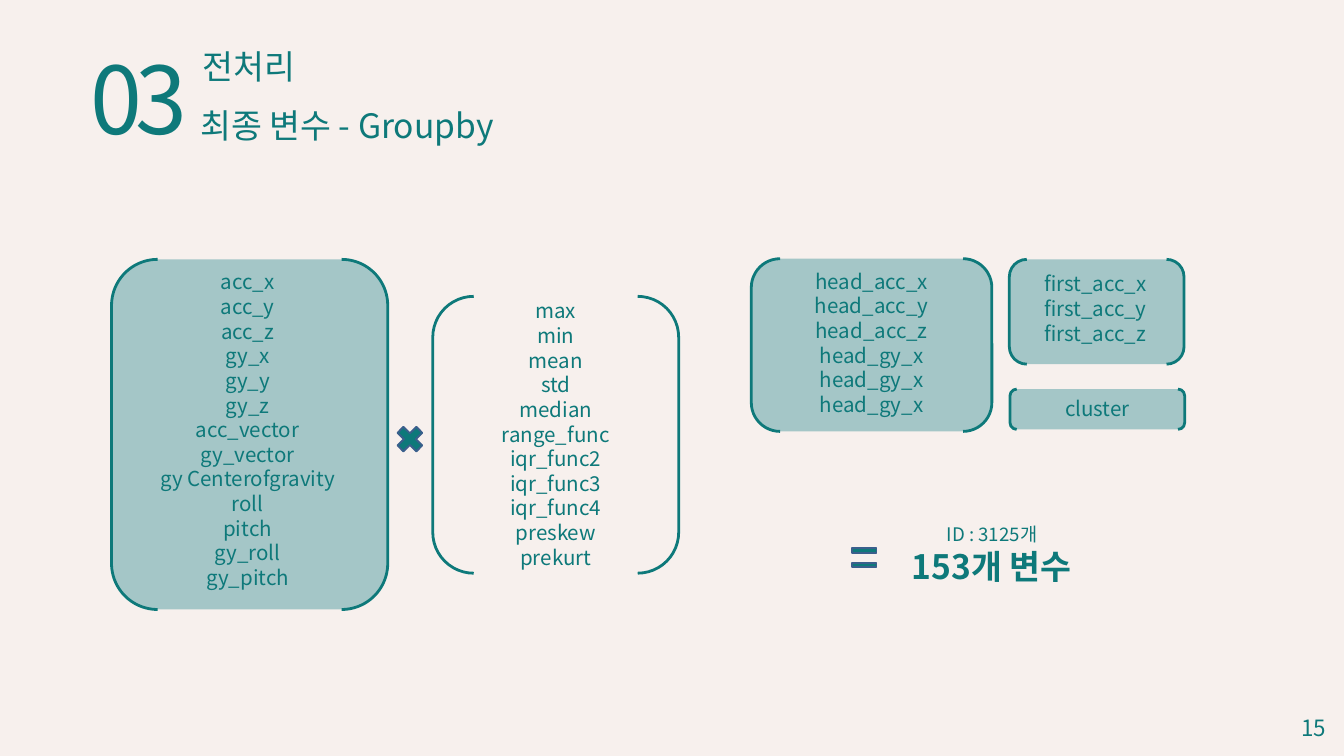
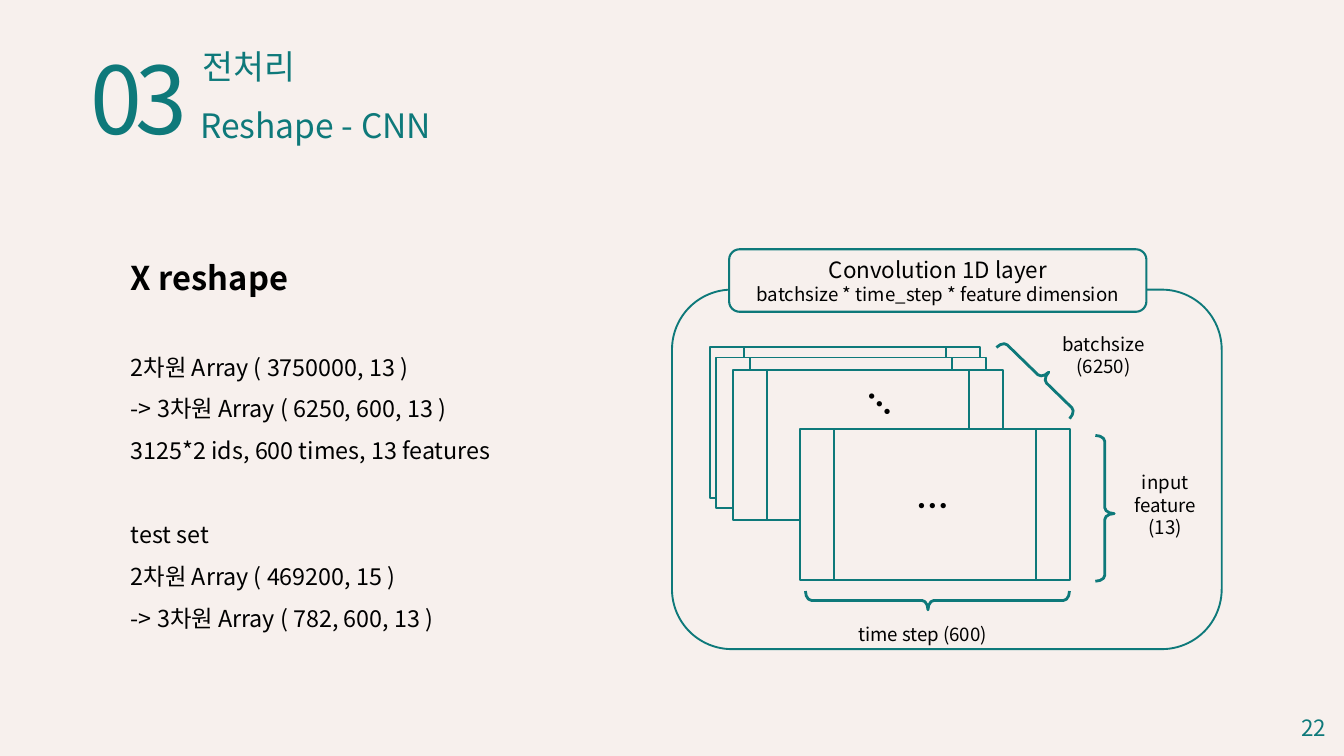
from lxml import etree
from pptx import Presentation
from pptx.dml.color import RGBColor
from pptx.enum.shapes import MSO_SHAPE
from pptx.enum.text import MSO_ANCHOR, MSO_AUTO_SIZE, PP_ALIGN
from pptx.oxml.ns import qn
from pptx.util import Inches, Pt

LEFT, CENTER, RIGHT = PP_ALIGN.LEFT, PP_ALIGN.CENTER, PP_ALIGN.RIGHT
TOP, MIDDLE = MSO_ANCHOR.TOP, MSO_ANCHOR.MIDDLE
BRACKETS = MSO_SHAPE.DOUBLE_BRACKET
BRACE = MSO_SHAPE.RIGHT_BRACE
FRAME = MSO_SHAPE.FLOWCHART_PREDEFINED_PROCESS
ROUNDED = MSO_SHAPE.ROUNDED_RECTANGLE
TIMES, EQUALS = MSO_SHAPE.MATH_MULTIPLY, MSO_SHAPE.MATH_EQUAL

FONT = "Noto Sans CJK KR"
COLORS = {"paper": "F7F0ED", "teal": "0E797A", "pale": "A4C6C7",
          "edge": "3A5F8C", "ink": "000000"}


def rgb(name):
    return RGBColor.from_string(COLORS[name])


def write(tf, lines, size=20, color="ink", bold=False, align=LEFT,
          anchor=TOP, spacing=None, track=None):
    """Write lines; a line is a string or (string, dict of own format)."""
    tf.word_wrap = True
    tf.auto_size = MSO_AUTO_SIZE.NONE
    tf.vertical_anchor = anchor
    for i, line in enumerate(lines):
        text, own = (line, {}) if isinstance(line, str) else line
        p = tf.paragraphs[0] if i == 0 else tf.add_paragraph()
        p.alignment = align
        if spacing:
            p.line_spacing = spacing
        if "before" in own:
            p.space_before = Pt(own["before"])
        r = p.add_run()
        r.text = text
        r.font.name = FONT
        r.font.size = Pt(own.get("size", size))
        r.font.bold = own.get("bold", bold)
        r.font.color.rgb = rgb(color)
        rPr = r.font._element
        etree.SubElement(rPr, qn("a:ea")).set("typeface", FONT)
        if track:
            rPr.set("spc", str(track * 100))


def add_text(s, x, y, w, h, lines, rotation=0, **fmt):
    sp = s.shapes.add_textbox(Inches(x), Inches(y), Inches(w), Inches(h))
    sp.rotation = rotation
    write(sp.text_frame, lines, **fmt)
    return sp


def add_shape(s, kind, x, y, w, h, fill=None, line="teal", weight=2,
              adjust=(), rotation=0):
    sp = s.shapes.add_shape(kind, Inches(x), Inches(y), Inches(w), Inches(h))
    sp.shadow.inherit = False
    sp.rotation = rotation
    for i, value in enumerate(adjust):
        sp.adjustments[i] = value
    if fill:
        sp.fill.solid()
        sp.fill.fore_color.rgb = rgb(fill)
    else:
        sp.fill.background()
    sp.line.color.rgb = rgb(line)
    sp.line.width = Pt(weight)
    return sp


def new_slide(prs, title, page):
    """Slide with the chapter heading and page number."""
    s = prs.slides.add_slide(prs.slide_layouts[5])
    add_text(s, 1.25, 0.57, 5.06, 1.78, ["03"], size=100, color="teal", track=-7)
    add_text(s, 2.92, 0.63, 4.91, 0.71, ["전처리"], size=36, color="teal")
    sp = s.shapes.title
    sp.left, sp.top = Inches(2.88), Inches(1.51)
    sp.width, sp.height = Inches(4.87), Inches(0.71)
    write(sp.text_frame, [title], size=36, color="teal")
    add_text(s, 17.5, 10.62, 2.33, 0.4, [page], size=24, color="teal",
             align=RIGHT, anchor=MIDDLE)
    return s


# Slide 1: variables and aggregations
def bracket_list(s, x, y, w, h, names, dx=0, dy=0.1, fill="pale"):
    """Bracketed list; dx and dy shift its text from the bracket's box."""
    add_shape(s, BRACKETS, x, y, w, h, fill=fill, weight=3)
    add_text(s, x + 0.2 + dx, y + dy, w - 0.4, h, names,
             size=22, color="teal", align=CENTER)


def operator(s, kind, x, y, w, h, adjust=()):
    add_shape(s, kind, x, y, w, h, fill="teal", line="edge", adjust=adjust)


def total(s, x, y):
    """Equals sign with the count of variables."""
    add_text(s, x + 1.29, y, 1.72, 0.44, ["ID : 3125개"], color="teal", align=CENTER)
    operator(s, EQUALS, x, y + 0.36, 0.5, 0.42, adjust=(0.157, 0.354))
    add_text(s, x + 0.75, y + 0.34, 2.79, 0.71, ["153개 변수"],
             size=36, color="teal", bold=True, align=CENTER)


def groupby_slide(prs):
    s = new_slide(prs, "최종 변수 - Groupby", "15")
    sensors = ["acc_x", "acc_y", "acc_z", "gy_x", "gy_y", "gy_z",
               "acc_vector", "gy_vector", "gy Centerofgravity", "roll",
               "pitch", "gy_roll", "gy_pitch"]
    functions = ["max", "min", "mean", "std", "median", "range_func",
                 "iqr_func2", "iqr_func3", "iqr_func4", "preskew", "prekurt"]
    heads = ["head_acc_x", "head_acc_y", "head_acc_z"] + ["head_gy_x"] * 3
    firsts = [f"first_acc_{axis}" for axis in "xyz"]
    bracket_list(s, 1.66, 3.86, 4.11, 5.21, sensors, dx=-0.03)
    operator(s, TIMES, 5.83, 6.27, 0.54, 0.53)
    bracket_list(s, 6.44, 4.41, 3.66, 4.12, functions, dy=-0.02, fill=None)
    bracket_list(s, 11.18, 3.85, 3.58, 2.57, heads)
    bracket_list(s, 15.02, 3.86, 2.6, 1.56, firsts, dx=-0.02, dy=0.13)
    bracket_list(s, 15.03, 5.79, 2.6, 0.6, ["cluster"], dy=0.06)
    total(s, 12.61, 7.73)


# Slide 2: reshaping for the convolution layer
def reshape_notes(s, x, y, w, h):
    gap = {"before": 45}
    add_text(s, x, y, w, h, [
        ("X reshape", {"size": 35, "bold": True}),
        ("2차원 Array ( 3750000, 13 )", gap),
        "-> 3차원 Array ( 6250, 600, 13 )",
        "3125*2 ids, 600 times, 13 features",
        ("test set", gap),
        "2차원 Array ( 469200, 15 )",
        "-> 3차원 Array ( 782, 600, 13 )",
    ], size=25, spacing=1.5)


def layer_diagram(s, x, y, w, h):
    """Stack of input frames with braces, inside the layer's outline."""
    # Frames, back to front
    for dx, dy in [(0.57, 0.86), (0.66, 1.01), (0.91, 1.19), (1.91, 2.08)]:
        add_shape(s, FRAME, x + dx, y + dy, 4.01, 2.24, fill="paper")
    for dx, dy, width, turn in [(2.77, 1.32, 0.57, 44.9), (3.54, 2.87, 0.45, 0)]:
        add_text(s, x + dx, y + dy, width, 0.69, ["…"], size=35, bold=True,
                 rotation=turn)

    # Braces: batch, feature, time
    for dx, dy, length, turn in [(5.33, 0.53, 1.52, 314.2),
                                 (6.3, 2.17, 2.17, 0), (3.81, 2.66, 3.93, 90)]:
        add_shape(s, BRACE, x + dx, y + dy, 0.28, length, weight=3,
                  adjust=(0.317, 0.536), rotation=turn)
    add_text(s, x + 5.6, y + 0.59, 1.64, 0.77, ["batchsize (6250)"],
             align=CENTER, anchor=MIDDLE)
    add_text(s, x + 6.77, y + 2.65, 1.14, 1.11, ["input", "feature", "(13)"],
             align=CENTER)
    add_text(s, x + 2.67, y + 4.91, 2.24, 0.44, ["time step (600)"])

    # Outline and its caption
    add_shape(s, ROUNDED, x, y, w, h)
    sp = add_shape(s, ROUNDED, x + 0.85, y - 0.6, 6.21, 0.93, fill="paper",
                   weight=2.25)
    write(sp.text_frame, [("Convolution 1D layer", {"size": 24}),
                          "batchsize * time_step * feature dimension"],
          align=CENTER, anchor=MIDDLE)


def reshape_slide(prs):
    s = new_slide(prs, "Reshape - CNN", "22")
    reshape_notes(s, 1.85, 3.49, 9.47, 5.95)
    layer_diagram(s, 10, 4.31, 8.18, 5.35)


def main():
    prs = Presentation()
    prs.slide_width, prs.slide_height = Inches(20), Inches(11.25)
    fill = prs.slide_master.background.fill
    fill.solid()
    fill.fore_color.rgb = rgb("paper")
    groupby_slide(prs)
    reshape_slide(prs)
    prs.save("out.pptx")


if __name__ == "__main__":
    main()
